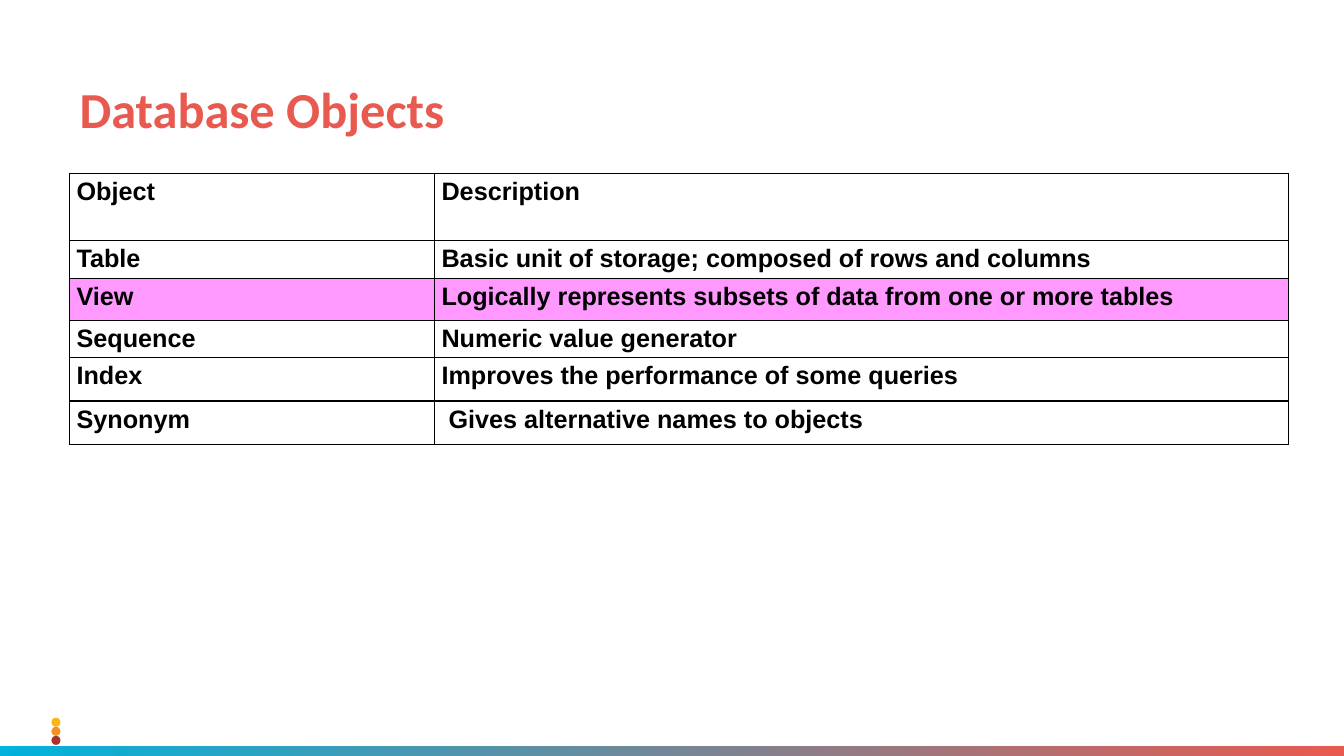
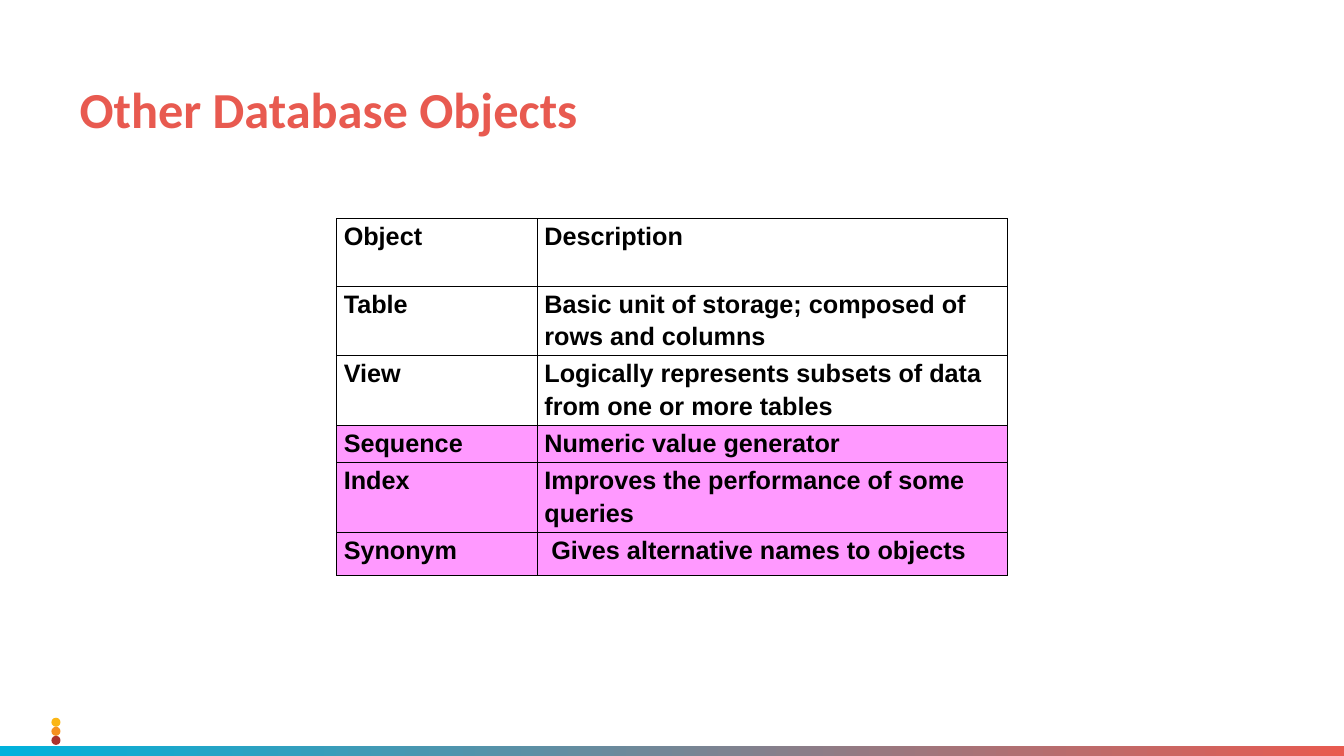
"""Builds two slides that list database objects in highlighted tables."""
from lxml import etree
from pptx import Presentation
from pptx.dml.color import RGBColor
from pptx.enum.shapes import MSO_SHAPE
from pptx.enum.text import MSO_ANCHOR
from pptx.oxml.ns import qn
from pptx.util import Inches, Pt

OVAL, RECTANGLE = MSO_SHAPE.OVAL, MSO_SHAPE.RECTANGLE
TOP = MSO_ANCHOR.TOP

CORAL = RGBColor(0xE8, 0x5A, 0x50)
CYAN = RGBColor(0x00, 0xB2, 0xDC)
YELLOW = RGBColor(0xFB, 0xB6, 0x15)
ORANGE = RGBColor(0xF5, 0x91, 0x20)
BRICK = RGBColor(0xAC, 0x32, 0x2C)
PINK = RGBColor(0xFF, 0x99, 0xFF)
BLACK = RGBColor(0x00, 0x00, 0x00)

OBJECTS = [
    ("Object", "Description"),
    ("Table", "Basic unit of storage; composed of rows and columns"),
    ("View", "Logically represents subsets of data from one or more tables"),
    ("Sequence", "Numeric value generator"),
    ("Index", "Improves the performance of some queries"),
    ("Synonym", " Gives alternative names to objects"),
]
SLIDES = [
    {"title": "Database Objects", "corner": (0.69, 1.72), "columns": (3.62, 8.47),
     "rows": (0.67, 0.37, 0.42, 0.37, 0.43, 0.43), "highlighted": {"View"}},
    {"title": "Other Database Objects", "corner": (3.34, 2.17), "columns": (1.99, 4.66),
     "rows": (0.67, 0.64, 0.64, 0.37, 0.64, 0.43),
     "highlighted": {"Sequence", "Index", "Synonym"}},
]

SLIDE_WIDTH, SLIDE_HEIGHT = 13.33, 7.5
BAND_TOP, BAND_HEIGHT = 7.4, 0.1
DOTS = (YELLOW, ORANGE, BRICK)
DOT_LEFT, DOT_TOP, DOT_SIZE = 0.51, 7.12, 0.09
TITLE_BOX = (0.69, 0.79, 12.09, 0.74)
TITLE_FONT = {"name": "Calibri", "size": Pt(36), "bold": True}
CELL_FONT = {"name": "Arial", "size": Pt(18), "bold": True}
CELL_FORMAT = {"margin_left": Inches(0.07), "margin_right": Inches(0.07),
               "margin_top": 0, "margin_bottom": 0, "vertical_anchor": TOP}
BORDER_SIDES = ("a:lnL", "a:lnR", "a:lnT", "a:lnB")


def apply(target, values):
    for name, value in values.items():
        setattr(target, name, value)


def write(frame, text, font, color, spacing):
    paragraph = frame.paragraphs[0]
    paragraph.line_spacing = spacing
    run = paragraph.add_run()
    run.text = text
    apply(run.font, font)
    run.font.color.rgb = color


def add_plain_shape(slide, kind, box):
    shape = slide.shapes.add_shape(kind, *map(Inches, box))
    shape.shadow.inherit = False
    shape.line.fill.background()
    return shape


def add_footer(slide):
    for index, color in enumerate(DOTS):
        top = DOT_TOP + index * DOT_SIZE
        dot = add_plain_shape(slide, OVAL, (DOT_LEFT, top, DOT_SIZE, DOT_SIZE))
        dot.fill.solid()
        dot.fill.fore_color.rgb = color
    band = add_plain_shape(slide, RECTANGLE, (0, BAND_TOP, SLIDE_WIDTH, BAND_HEIGHT))
    band.fill.gradient()
    band.fill.gradient_angle = 0
    for stop, color in zip(band.fill.gradient_stops, (CYAN, CORAL)):
        stop.color.rgb = color


def add_title(slide, title):
    frame = slide.shapes.add_textbox(*map(Inches, TITLE_BOX)).text_frame
    apply(frame, {"word_wrap": True, "vertical_anchor": TOP})
    write(frame, title, TITLE_FONT, CORAL, 0.9)


def add_borders(cell):
    properties = cell._tc.get_or_add_tcPr()
    for position, side in enumerate(BORDER_SIDES):
        border = etree.Element(qn(side), w=str(Pt(1)))
        fill = etree.SubElement(border, qn("a:solidFill"))
        etree.SubElement(fill, qn("a:srgbClr"), val=str(BLACK))
        properties.insert(position, border)


def add_object_table(slide, corner, columns, rows, highlighted):
    box = (*corner, sum(columns), sum(rows))
    table = slide.shapes.add_table(len(rows), len(columns), *map(Inches, box)).table
    apply(table, {"first_row": False, "horz_banding": False})
    for column, width in zip(table.columns, columns):
        column.width = Inches(width)
    for row, height, texts in zip(table.rows, rows, OBJECTS):
        row.height = Inches(height)
        for cell, text in zip(row.cells, texts):
            apply(cell, CELL_FORMAT)
            write(cell.text_frame, text, CELL_FONT, BLACK, 1.15)
            if texts[0] in highlighted:
                cell.fill.solid()
                cell.fill.fore_color.rgb = PINK
            else:
                cell.fill.background()
            add_borders(cell)


def main():
    deck = Presentation()
    deck.slide_width, deck.slide_height = Inches(SLIDE_WIDTH), Inches(SLIDE_HEIGHT)
    blank = deck.slide_layouts[6]
    for content in SLIDES:
        slide = deck.slides.add_slide(blank)
        add_footer(slide)
        add_title(slide, content["title"])
        add_object_table(slide, content["corner"], content["columns"],
                         content["rows"], content["highlighted"])
    deck.save("out.pptx")


if __name__ == "__main__":
    main()
